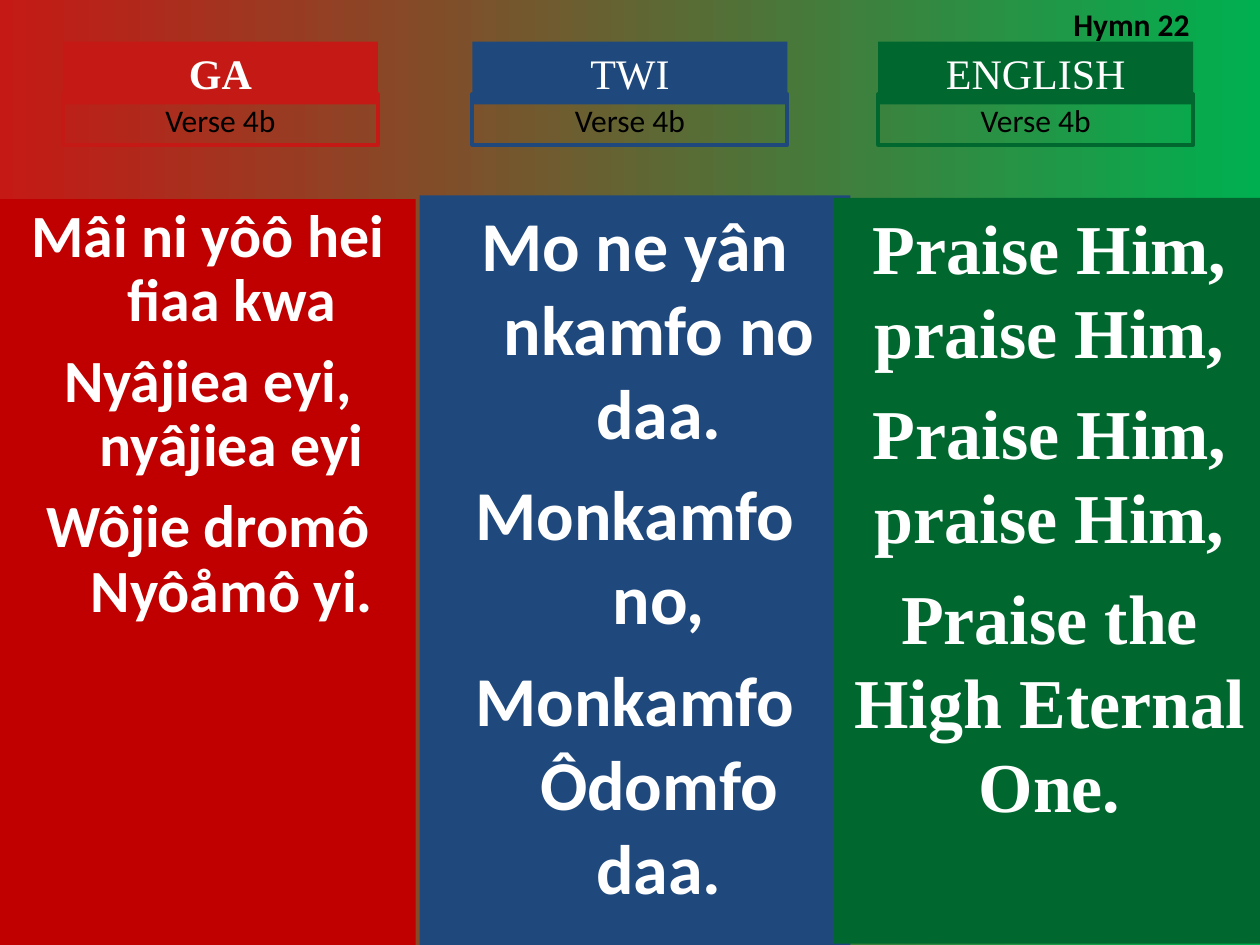
from pptx import Presentation
from pptx.dml.color import RGBColor
from pptx.enum.shapes import MSO_SHAPE
from pptx.enum.text import MSO_ANCHOR, PP_ALIGN
from pptx.util import Inches, Pt

RECTANGLE = MSO_SHAPE.RECTANGLE
TOP = MSO_ANCHOR.TOP
CENTER, LEFT = PP_ALIGN.CENTER, PP_ALIGN.LEFT
SANS, SERIF = "Calibri", "Times New Roman"
COLORS = {
    "red": "C51915", "deep_red": "C00000", "blue": "1F497D",
    "green": "00682F", "bright_green": "00B050",
    "white": "FFFFFF", "black": "000000",
}
HEADING_TOP, HEADING_WIDTH, HEADING_HEIGHT = 0.33, 2.5, 0.5
VERSE_TOP, VERSE_HEIGHT = 0.75, 0.4
HANGING_INDENT = 0.38

# panel: left, top, width, height of the lyrics
COLUMNS = [
    dict(language="GA", heading_left=0.5, heading_color="red", heading_bold=True,
         panel=(0, 1.58, 3.3, 5.92), panel_color="deep_red",
         font=SANS, size=34.2, gap=9.2, spacing=0.9, hanging=True,
         lyrics=["Mâi ni yôô hei fiaa kwa", "Nyâjiea eyi, nyâjiea eyi",
                 "Wôjie dromô Nyôåmô yi."]),
    dict(language="TWI", heading_left=3.75, heading_color="blue", heading_bold=False,
         panel=(3.33, 1.55, 3.42, 5.95), panel_color="blue",
         font=SANS, size=40, gap=10, spacing=1.0, hanging=True,
         lyrics=["Mo ne yân nkamfo no daa.", "Monkamfo no,",
                 "Monkamfo Ôdomfo daa."]),
    dict(language="ENGLISH", heading_left=6.97, heading_color="green", heading_bold=False,
         panel=(6.62, 1.57, 3.42, 5.92), panel_color="green",
         font=SERIF, size=40, gap=10, spacing=1.0, hanging=False,
         lyrics=["Praise Him, praise Him,", "Praise Him, praise Him,",
                 "Praise the High Eternal One."]),
]


def rgb(name):
    return RGBColor.from_string(COLORS[name])


def add_box(slide, box, fill=None, line=None):
    shape = slide.shapes.add_shape(RECTANGLE, *map(Inches, box))
    shape.shadow.inherit = False
    if fill:
        shape.fill.solid()
        shape.fill.fore_color.rgb = rgb(fill)
    else:
        shape.fill.background()
    if line:
        shape.line.color.rgb = rgb(line)
        shape.line.width = Pt(2.25)
    else:
        shape.line.fill.background()
    return shape


def write(shape, lines, font, size, color, bold=False, align=CENTER):
    frame = shape.text_frame
    frame.word_wrap = True
    frame.vertical_anchor = TOP
    frame.text = "\n".join(lines)
    for paragraph in frame.paragraphs:
        paragraph.alignment = align
        paragraph.font.name = font
        paragraph.font.size = Pt(size)
        paragraph.font.bold = bold
        paragraph.font.color.rgb = rgb(color)
    return frame.paragraphs


def add_heading(slide, left, language, color, bold):
    title = add_box(slide, (left, HEADING_TOP, HEADING_WIDTH, HEADING_HEIGHT), fill=color)
    write(title, [language], SERIF, 24, "white", bold)
    verse = add_box(slide, (left, VERSE_TOP, HEADING_WIDTH, VERSE_HEIGHT), line=color)
    write(verse, ["Verse 4b"], SANS, 18, "black")


def add_lyrics(slide, column):
    panel = add_box(slide, column["panel"], fill=column["panel_color"])
    paragraphs = write(panel, column["lyrics"], column["font"], column["size"],
                       "white", bold=True)
    for index, paragraph in enumerate(paragraphs):
        paragraph.line_spacing = column["spacing"]
        if index:
            paragraph.space_before = Pt(column["gap"])
        if column["hanging"]:
            properties = paragraph._p.get_or_add_pPr()
            properties.set("marL", str(Inches(HANGING_INDENT)))
            properties.set("indent", str(-Inches(HANGING_INDENT)))


def add_hymn_number(slide, box):
    label = slide.shapes.add_textbox(*map(Inches, box))
    write(label, ["Hymn 22"], SANS, 18, "black", bold=True, align=LEFT)


def paint_background(slide):
    fill = slide.background.fill
    fill.gradient()
    fill.gradient_angle = 0
    for stop, color in zip(fill.gradient_stops, ("red", "bright_green")):
        stop.color.rgb = rgb(color)


def main():
    deck = Presentation()
    deck.slide_width, deck.slide_height = Inches(10), Inches(7.5)
    slide = deck.slides.add_slide(deck.slide_layouts[6])
    paint_background(slide)

    # One column per language
    for column in COLUMNS:
        add_lyrics(slide, column)
        add_heading(slide, column["heading_left"], column["language"],
                    column["heading_color"], column["heading_bold"])

    add_hymn_number(slide, (8.42, -0.01, 1.5, 0.4))
    deck.save("out.pptx")


if __name__ == "__main__":
    main()
